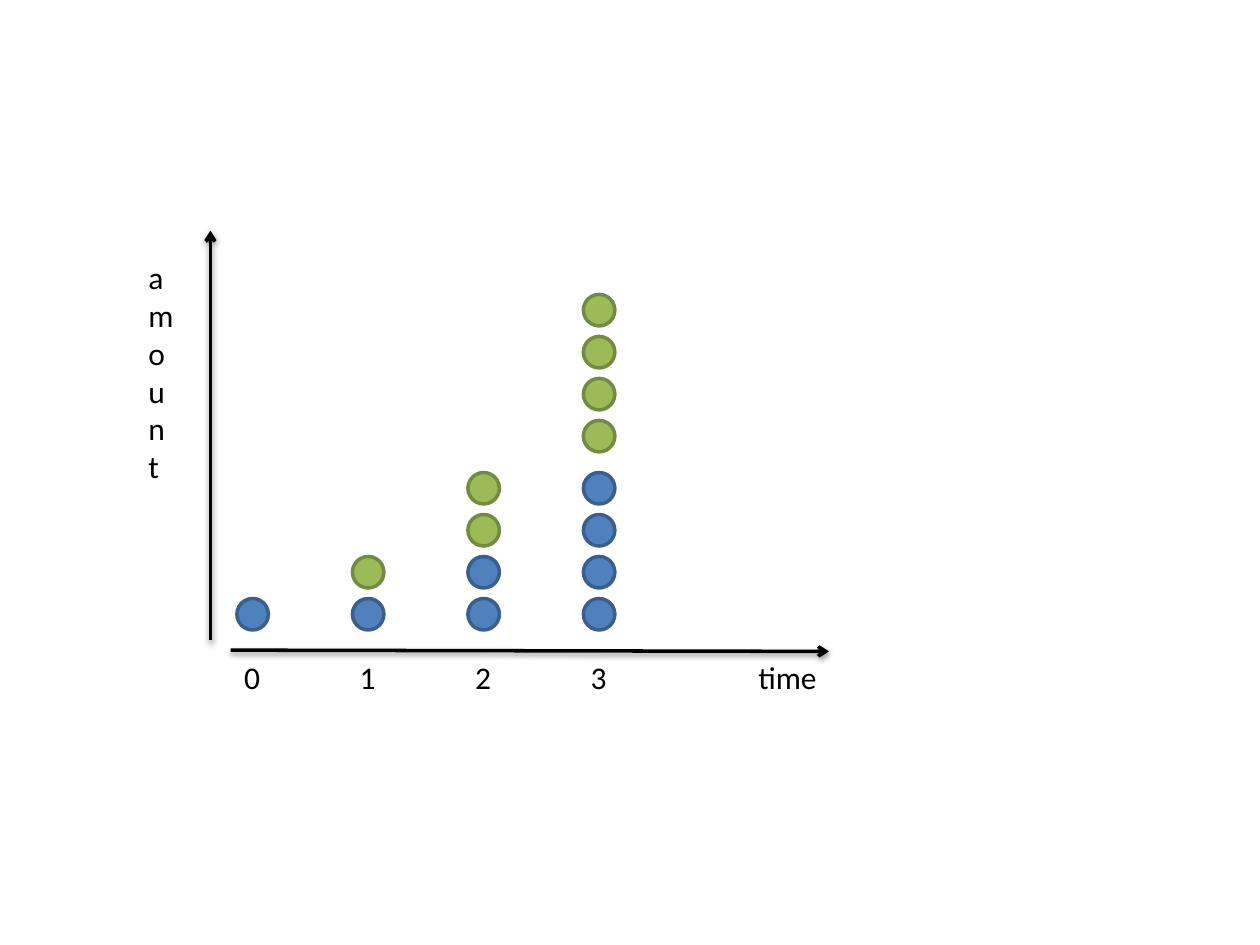
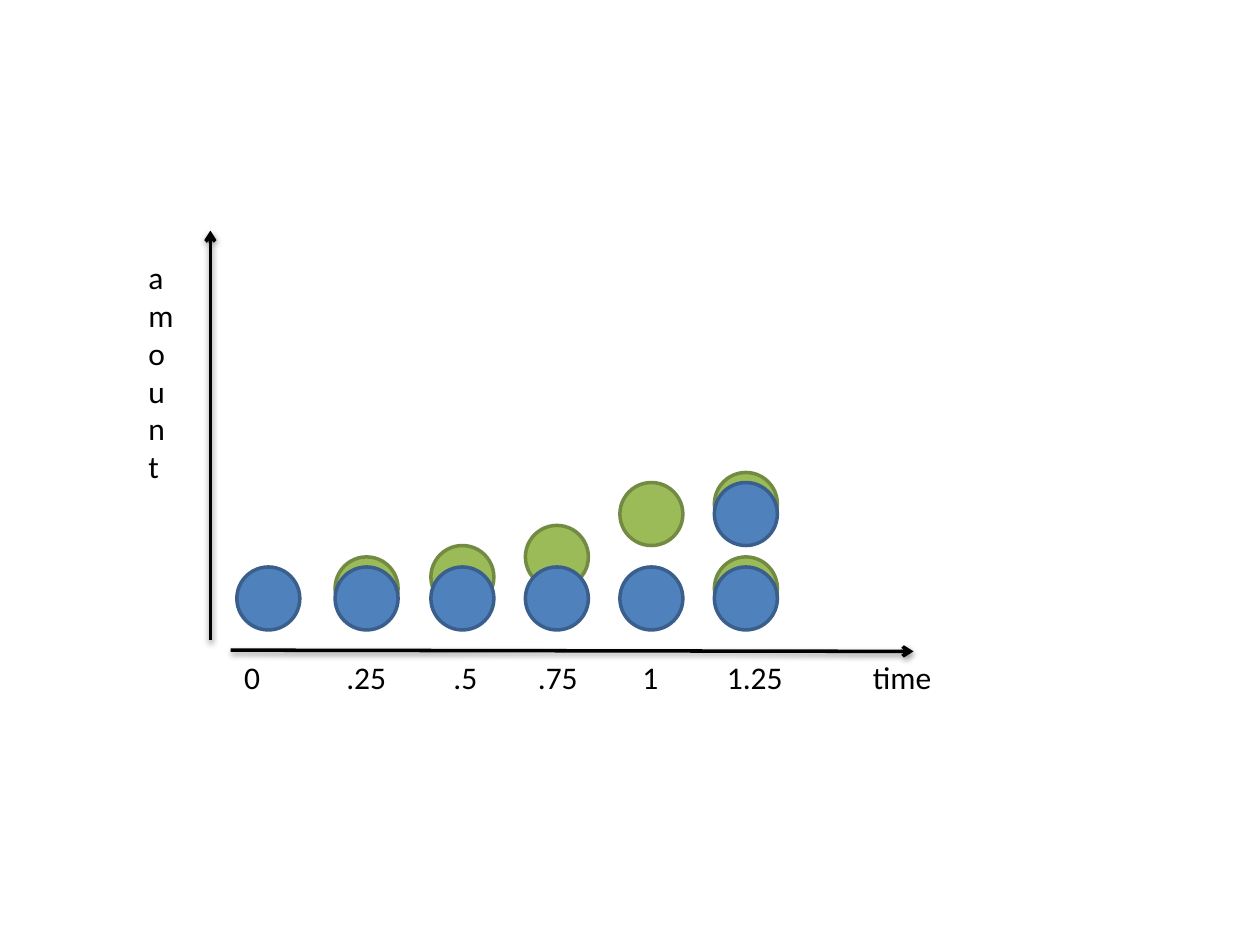
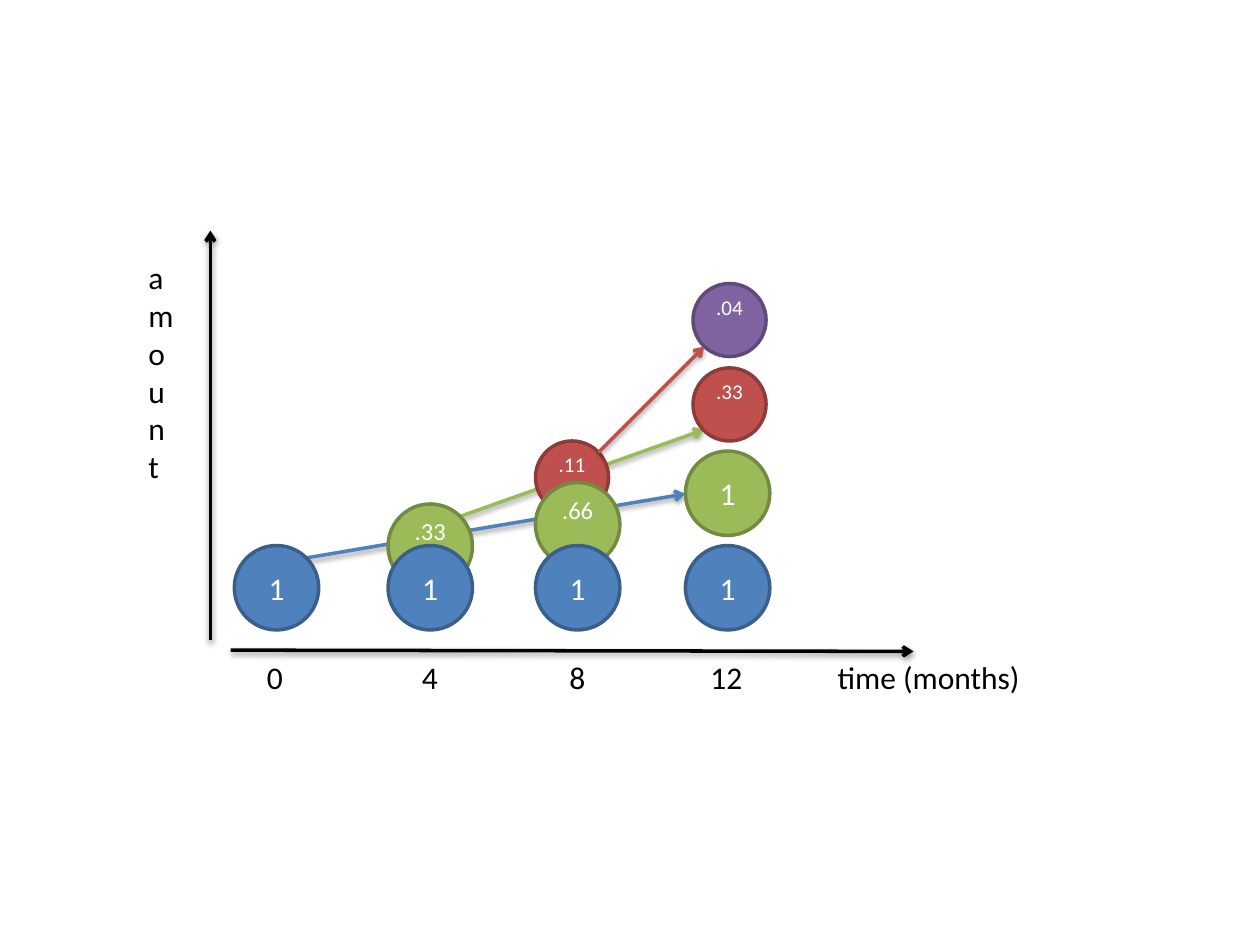
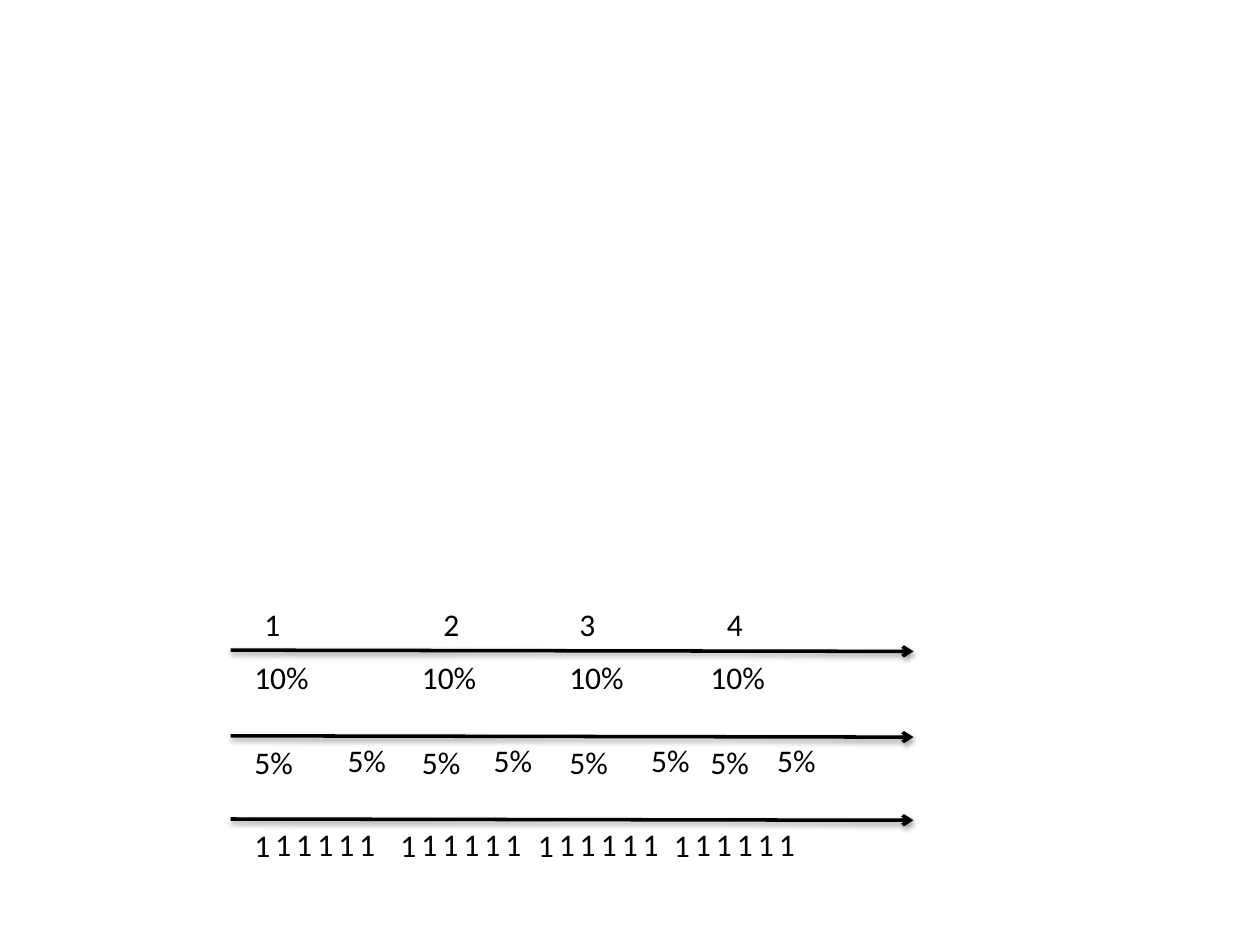
"""Build four slides that show how compounding grows an amount over time."""
from dataclasses import dataclass
from typing import NamedTuple

from lxml.etree import SubElement
from pptx import Presentation
from pptx.dml.color import RGBColor
from pptx.enum.shapes import MSO_CONNECTOR, MSO_SHAPE
from pptx.enum.text import MSO_ANCHOR, MSO_AUTO_SIZE, PP_ALIGN
from pptx.oxml.ns import qn
from pptx.slide import Slide
from pptx.text.text import TextFrame
from pptx.util import Inches, Pt


class Tone(NamedTuple):
    """Fill and outline of a disc."""
    fill: RGBColor
    edge: RGBColor


BLACK = RGBColor(0x00, 0x00, 0x00)
WHITE = RGBColor(0xFF, 0xFF, 0xFF)
BLUE = Tone(RGBColor(0x4F, 0x81, 0xBD), RGBColor(0x3A, 0x5F, 0x8C))
GREEN = Tone(RGBColor(0x9B, 0xBB, 0x59), RGBColor(0x73, 0x8A, 0x42))
RED = Tone(RGBColor(0xC0, 0x50, 0x4D), RGBColor(0x8E, 0x3B, 0x39))
PURPLE = Tone(RGBColor(0x80, 0x64, 0xA2), RGBColor(0x5F, 0x4A, 0x78))
FONT = "Calibri"
BODY_SIZE = 18
LINE_WIDTH = Pt(2)
AXIS_LEFT = 1.83
AXIS_TOP = 5.16
LABEL_TOP = 5.17
LABEL_HEIGHT = 0.4
DIGIT_WIDTH = 0.33
LABEL_WIDTHS = {
    ".5": 0.39, "12": 0.46, "5%": 0.51, ".25": 0.52, ".75": 0.52,
    "10%": 0.64, "1.25": 0.65, "time": 0.67, "time (months)": 1.7,
}


@dataclass(frozen=True)
class Disc:
    """A round amount, with an optional value in it."""
    left: float
    top: float
    size: float
    tone: Tone
    text: str = ""
    points: int = BODY_SIZE


@dataclass(frozen=True)
class Arrow:
    """A straight arrow between two points."""
    start: tuple[float, float]
    end: tuple[float, float]
    color: RGBColor = BLACK


@dataclass(frozen=True)
class Label:
    """A short text that does not wrap."""
    text: str
    left: float
    top: float = LABEL_TOP


def write(frame: TextFrame, text: str, points: int, color: RGBColor) -> None:
    """Put one formatted span in a text frame."""
    span = frame.paragraphs[0].add_run()
    span.text = text
    for name, value in {"name": FONT, "size": Pt(points)}.items():
        setattr(span.font, name, value)
    span.font.color.rgb = color


def draw_disc(page: Slide, disc: Disc) -> None:
    """Draw a disc; values smaller than the body size sit in its upper part."""
    box = page.shapes.add_shape(MSO_SHAPE.OVAL, Inches(disc.left), Inches(disc.top),
                                Inches(disc.size), Inches(disc.size))
    box.shadow.inherit = False
    box.fill.solid()
    box.fill.fore_color.rgb = disc.tone.fill
    box.line.color.rgb = disc.tone.edge
    box.line.width = LINE_WIDTH
    if not disc.text:
        return
    small = disc.points < BODY_SIZE
    layout = {
        "margin_left": 0, "margin_right": 0, "margin_top": 0, "margin_bottom": 0,
        "vertical_anchor": MSO_ANCHOR.TOP if small else MSO_ANCHOR.MIDDLE,
    }
    for name, value in layout.items():
        setattr(box.text_frame, name, value)
    box.text_frame.paragraphs[0].alignment = PP_ALIGN.CENTER
    write(box.text_frame, disc.text, disc.points, WHITE)


def draw_arrow(page: Slide, arrow: Arrow) -> None:
    """Draw an arrow that keeps the soft shadow of the theme."""
    points = [Inches(value) for value in (*arrow.start, *arrow.end)]
    connector = page.shapes.add_connector(MSO_CONNECTOR.STRAIGHT, *points)
    connector.line.color.rgb = arrow.color
    connector.line.width = LINE_WIDTH
    outline = connector.element.find(".//" + qn("a:ln"))
    SubElement(outline, qn("a:tailEnd"), type="arrow")


def draw_label(page: Slide, label: Label) -> None:
    """Draw a label as wide as its text."""
    width = LABEL_WIDTHS.get(label.text, DIGIT_WIDTH)
    box = page.shapes.add_textbox(Inches(label.left), Inches(label.top),
                                  Inches(width), Inches(LABEL_HEIGHT))
    box.text_frame.word_wrap = False
    box.text_frame.auto_size = MSO_AUTO_SIZE.SHAPE_TO_FIT_TEXT
    write(box.text_frame, label.text, BODY_SIZE, BLACK)


DRAWERS = {Disc: draw_disc, Arrow: draw_arrow, Label: draw_label}


def draw_all(page: Slide, items: list[Disc | Arrow | Label]) -> None:
    """Draw items from back to front."""
    for item in items:
        DRAWERS[type(item)](page, item)


def time_axis(right: float, top: float = AXIS_TOP) -> Arrow:
    """Give a horizontal axis that ends at the given place."""
    return Arrow((AXIS_LEFT, top), (right, top + 0.01))


def draw_amount_axis(page: Slide) -> None:
    """Draw the vertical axis and its upright name."""
    draw_arrow(page, Arrow((1.67, 5.08), (1.67, 1.83)))
    box = page.shapes.add_textbox(Inches(1.08), Inches(2), Inches(0.56), Inches(2.83))
    box.text_frame.word_wrap = True
    box.text_frame.auto_size = MSO_AUTO_SIZE.SHAPE_TO_FIT_TEXT
    box.element.find(".//" + qn("a:bodyPr")).set("vert", "wordArtVert")
    write(box.text_frame, "amount", BODY_SIZE, BLACK)


def build_doubling(page: Slide) -> None:
    """Show an amount that doubles with each step of time."""
    step, rise = 2.75 / 3, 1 / 3
    for time, old in enumerate((1, 1, 2, 4)):
        left = 1.88 + time * step
        new = old if time else 0
        gap = 0.08 if new == 4 else 0
        draw_all(page, [Disc(left, 4.75 - level * rise, 0.25, BLUE) for level in range(old)])
        draw_all(page, [Disc(left, 4.75 - gap - level * rise, 0.25, GREEN)
                        for level in range(old, old + new)])
        draw_label(page, Label(str(time), 1.84 + time * step))
    draw_all(page, [time_axis(6.58), Label("time", 5.92)])
    draw_amount_axis(page)


def build_gradual(page: Slide) -> None:
    """Show the new amount as it grows out of the old one."""
    size = 0.5
    columns = [(1.88, []), (2.66, [4.42]), (3.42, [4.33]), (4.17, [4.17]),
               (4.92, [3.83]), (5.67, [4.42])]
    for left, tops in columns:
        draw_all(page, [Disc(left, top, size, GREEN) for top in tops])
        draw_disc(page, Disc(left, 4.5, size, BLUE))
    draw_all(page, [
        Disc(5.67, 3.75, size, GREEN), Disc(5.67, 3.83, size, BLUE),
        time_axis(7.25), Label("0", 1.84), Label(".25", 2.65), Label(".5", 3.5),
        Label(".75", 4.17), Label("1", 5), Label("1.25", 5.67), Label("time", 6.83),
    ])
    draw_amount_axis(page)


def build_interest(page: Slide) -> None:
    """Show how interest earns interest of its own."""
    large, small = 0.67, 0.58
    draw_all(page, [
        Arrow((3.65, 4.1), (5.59, 3.41), GREEN.fill),
        Arrow((2.42, 4.43), (5.44, 3.92), BLUE.fill),
        time_axis(7.25),
        Disc(5.44, 3.58, large, GREEN, "1"),
        Disc(3.08, 4, large, GREEN, ".33", 14),
        Disc(4.25, 3.5, small, RED, ".11", 12),
        Disc(4.25, 3.83, large, GREEN, ".66", 14),
        Disc(5.5, 2.92, small, RED, ".33", 12),
        Disc(5.5, 2.25, small, PURPLE, ".04", 12),
    ])
    draw_all(page, [Disc(left, 4.33, large, BLUE, "1") for left in (1.86, 3.08, 4.25, 5.44)])
    draw_all(page, [
        Label("0", 2.02), Label("4", 3.25), Label("8", 4.42), Label("12", 5.54),
        Label("time (months)", 6.55), Arrow((4.75, 3.59), (5.59, 2.75), RED.fill),
    ])
    draw_amount_axis(page)


def build_rates(page: Slide) -> None:
    """Show one rate split over ever shorter periods."""
    draw_all(page, [time_axis(7.25, top) for top in (AXIS_TOP, 5.84, 6.5)])
    periods = (1.92, 3.25, 4.42, 5.54)
    draw_all(page, [Label(str(number), left, 4.75)
                    for number, left in enumerate((2, 3.42, 4.5, 5.67), 1)])
    draw_all(page, [Label("10%", left) for left in periods])
    draw_all(page, [Label("5%", left, 5.85) for left in periods])
    draw_all(page, [Label("5%", left, 5.83) for left in (2.66, 3.82, 5.07, 6.07)])
    for left in (1.92, 3.08, 4.17, 5.25):
        draw_all(page, [Label("1", left + place / 6, 6.5 if place else 6.51)
                        for place in range(6)])


def main() -> None:
    """Build and save the deck."""
    deck = Presentation()
    deck.slide_width = Inches(10)
    deck.slide_height = Inches(7.5)
    blank = deck.slide_layouts.get_by_name("Blank")
    for build in (build_doubling, build_gradual, build_interest, build_rates):
        build(deck.slides.add_slide(blank))
    deck.save("out.pptx")


main()
